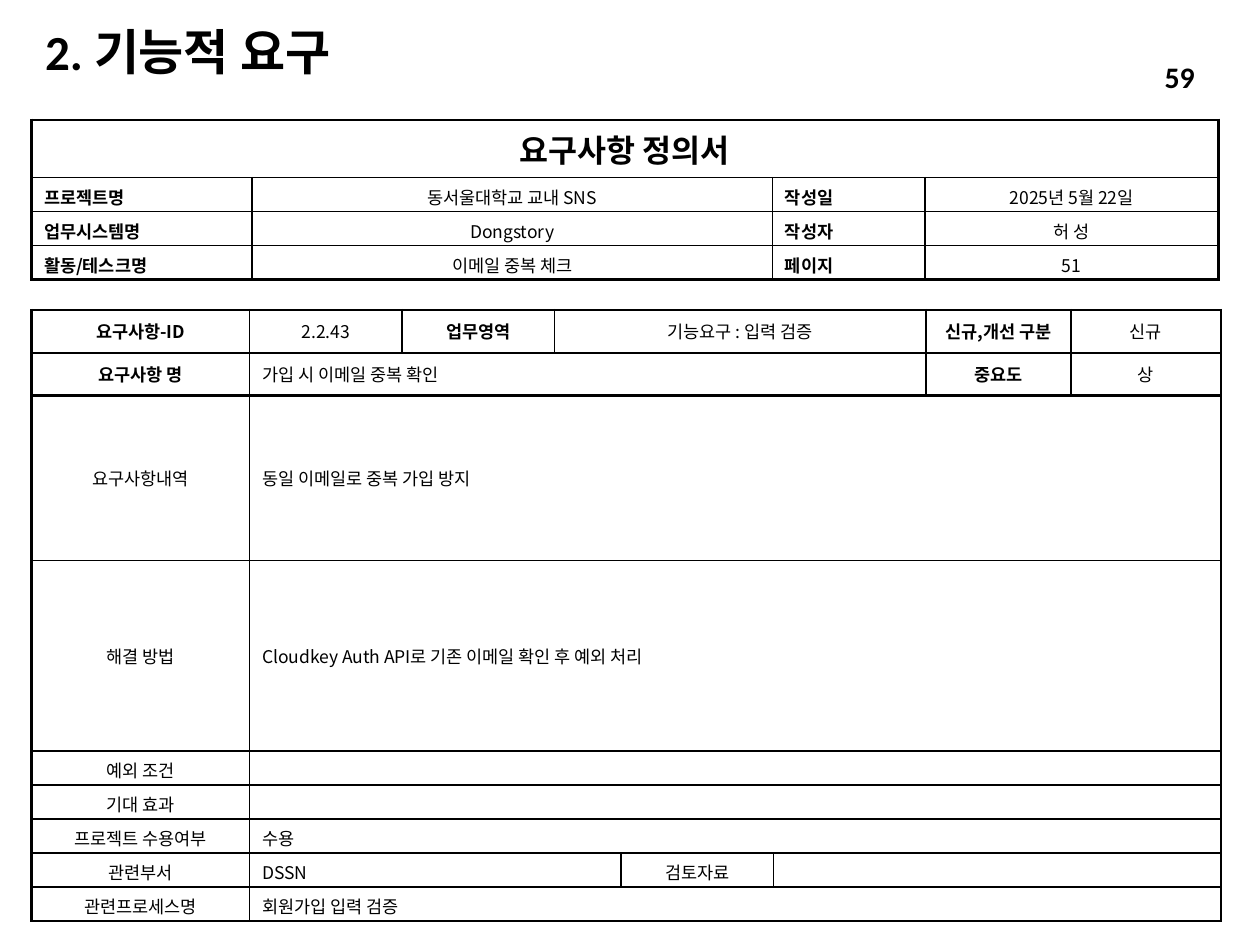
from dataclasses import dataclass

from lxml import etree
from pptx import Presentation
from pptx.dml.color import RGBColor
from pptx.enum.text import MSO_ANCHOR, PP_ALIGN
from pptx.oxml.ns import qn
from pptx.util import Inches, Pt

MIDDLE = MSO_ANCHOR.MIDDLE
LEFT, CENTER, RIGHT, JUSTIFY = PP_ALIGN.LEFT, PP_ALIGN.CENTER, PP_ALIGN.RIGHT, PP_ALIGN.JUSTIFY
GRID_COLUMNS, GRID_ROWS = 100, 75
GRID_UNIT = Inches(0.1)


@dataclass(frozen=True)
class Theme:
    ink: str = "000000"
    latin: str = "Calibri"
    korean: str = "Noto Sans CJK KR"
    title: float = 28
    number: float = 17
    banner: float = 18
    body: float = 10
    thin: float = 1
    thick: float = 1.5


THEME = Theme()

STYLES = {
    "banner": (CENTER, True, THEME.banner),
    "key": (JUSTIFY, True, THEME.body),
    "label": (CENTER, True, THEME.body),
    "value": (CENTER, False, THEME.body),
    "note": (LEFT, False, THEME.body),
}

HEADER_COLUMNS = [17.5, 41.3, 12.1, 23.3]
HEADER_HEIGHTS = [4.6] + [2.7] * 3
HEADER_ROWS = [[(4, "요구사항 정의서", "banner")]] + [
    [(1, name, "key"), (1, content, "value"), (1, side_name, "key"), (1, side_content, "value")]
    for name, content, side_name, side_content in [
        ("프로젝트명", "동서울대학교 교내 SNS", "작성일", "2025년 5월 22일"),
        ("업무시스템명", "Dongstory", "작성자", "허 성"),
        ("활동/테스크명", "이메일 중복 체크", "페이지", "51"),
    ]
]

DETAIL_COLUMNS = [17.3, 12.1, 12.1, 5.3, 12.1, 12.1, 11.5, 11.9]
DETAIL_HEIGHTS = [3.4, 3.4, 13.1, 15.1] + [2.7] * 5
DETAIL_ROWS = [
    [(1, "요구사항-ID", "label"), (1, "2.2.43", "value"), (1, "업무영역", "label"),
     (3, "기능요구 : 입력 검증", "value"), (1, "신규,개선 구분", "label"), (1, "신규", "value")],
    [(1, "요구사항 명", "label"), (5, "가입 시 이메일 중복 확인", "note"),
     (1, "중요도", "label"), (1, "상", "value")],
    [(1, "요구사항내역", "value"), (7, "동일 이메일로 중복 가입 방지", "note")],
    [(1, "해결 방법", "value"), (7, "Cloudkey Auth API로 기존 이메일 확인 후 예외 처리", "note")],
    [(1, "예외 조건", "value"), (7, "", "note")],
    [(1, "기대 효과", "value"), (7, "", "note")],
    [(1, "프로젝트 수용여부", "value"), (7, "수용", "note")],
    [(1, "관련부서", "value"), (3, "DSSN", "note"), (1, "검토자료", "value"), (3, "", "note")],
    [(1, "관련프로세스명", "value"), (7, "회원가입 입력 검증", "note")],
]


def grid(units):
    return round(units * GRID_UNIT)


def format_para(para, align, bold, size, latin):
    para.alignment = align
    for span in para.runs:
        font = span.font
        font.name, font.size, font.bold = latin, Pt(size), bold
        font.color.rgb = RGBColor.from_string(THEME.ink)
        east_asian = etree.Element(qn("a:ea"), typeface=THEME.korean)
        font._element.find(qn("a:latin")).addnext(east_asian)
    if not para.runs:
        etree.SubElement(para._p, qn("a:endParaRPr"), sz=str(round(size * 100)))


def add_text(page, place, text, size, align, line_spacing=1.0):
    box = page.shapes.add_textbox(*map(grid, place))
    frame = box.text_frame
    frame.word_wrap = True
    frame.vertical_anchor = MIDDLE
    frame.text = text
    frame.paragraphs[0].line_spacing = line_spacing
    format_para(frame.paragraphs[0], align, True, size, THEME.latin)


def set_borders(cell, widths):
    properties = cell._tc.get_or_add_tcPr()
    for side, width in zip("LRTB", widths):
        line = etree.SubElement(properties, qn(f"a:ln{side}"), w=str(Pt(width)))
        fill = etree.SubElement(line, qn("a:solidFill"))
        etree.SubElement(fill, qn("a:srgbClr"), val=THEME.ink)


def fill_cell(cell, text, style):
    align, bold, size = STYLES[style]
    cell.text_frame.text = text
    cell.vertical_anchor = MIDDLE
    cell.fill.background()
    format_para(cell.text_frame.paragraphs[0], align, bold, size, THEME.korean)


def add_form(page, left, top, columns, heights, rows, thick_rules):
    row_count, column_count = len(heights), len(columns)
    place = map(grid, (left, top, sum(columns), sum(heights)))
    table = page.shapes.add_table(row_count, column_count, *place).table
    table.first_row = table.horz_banding = False
    for column, width in zip(table.columns, columns):
        column.width = grid(width)
    for row, height in zip(table.rows, heights):
        row.height = grid(height)

    def rule(is_thick):
        return THEME.thick if is_thick else THEME.thin

    for row, entries in enumerate(rows):
        first = 0
        for span, text, style in entries:
            last = first + span - 1
            for column in range(first, last + 1):
                cell = table.cell(row, column)
                set_borders(cell, (rule(first == 0), rule(last == column_count - 1),
                                   rule(row in thick_rules), rule(row + 1 in thick_rules)))
                fill_cell(cell, text if column == first else "", style)
            if span > 1:
                table.cell(row, first).merge(table.cell(row, last))
            first = last + 1


def main():
    deck = Presentation()
    deck.slide_width = grid(GRID_COLUMNS)
    deck.slide_height = grid(GRID_ROWS)
    page = deck.slides.add_slide(deck.slide_layouts[6])
    add_text(page, (2.6, 2.1, 53.6, 4.4), "2. 기능적 요구", THEME.title, LEFT, 0.9)
    add_form(page, 2.5, 24.6, DETAIL_COLUMNS, DETAIL_HEIGHTS, DETAIL_ROWS, {0, 1, 2, 9})
    add_form(page, 2.5, 9.5, HEADER_COLUMNS, HEADER_HEIGHTS, HEADER_ROWS, {0, 4})
    add_text(page, (79.6, 4.1, 16.2, 4), "59", THEME.number, RIGHT)
    deck.save("out.pptx")


if __name__ == "__main__":
    main()
